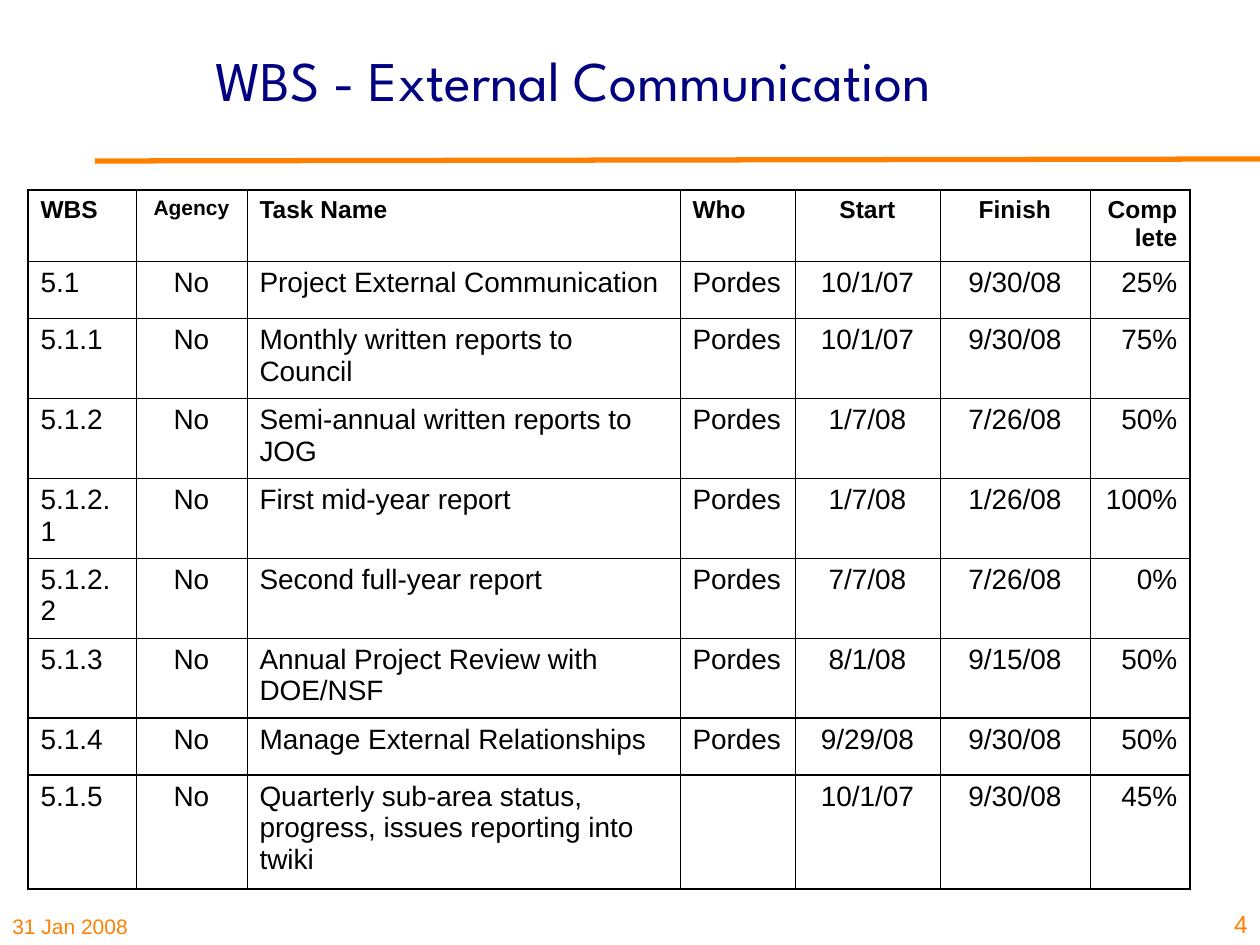
from lxml.etree import SubElement
from pptx import Presentation
from pptx.dml.color import RGBColor
from pptx.enum.shapes import MSO_CONNECTOR
from pptx.enum.text import MSO_ANCHOR, MSO_AUTO_SIZE, PP_ALIGN
from pptx.oxml import parse_xml
from pptx.oxml.ns import nsdecls, qn
from pptx.util import Pt

SCALE = 914400 / 126
COLORS = {"title": "000080", "accent": "FF8000", "ink": "000000"}
THIN, THICK = 0.45, 1.08
LEFT, CENTER, RIGHT = PP_ALIGN.LEFT, PP_ALIGN.CENTER, PP_ALIGN.RIGHT
COLUMN_WIDTHS = [108, 111, 433, 115, 145, 150, 100]
COLUMN_ALIGNMENTS = [LEFT, CENTER, LEFT, LEFT, CENTER, CENTER, RIGHT]
ROW_HEIGHTS = [71, 57, 80, 80, 80, 80, 80, 57, 113]
HEADINGS = ["WBS", "Agency", "Task Name", "Who", "Start", "Finish", "Complete"]
TASKS = [
    ["5.1", "No", "Project External Communication", "Pordes", "10/1/07", "9/30/08", "25%"],
    ["5.1.1", "No", "Monthly written reports to Council", "Pordes", "10/1/07", "9/30/08", "75%"],
    ["5.1.2", "No", "Semi-annual written reports to JOG", "Pordes", "1/7/08", "7/26/08", "50%"],
    ["5.1.2.1", "No", "First mid-year report", "Pordes", "1/7/08", "1/26/08", "100%"],
    ["5.1.2.2", "No", "Second full-year report", "Pordes", "7/7/08", "7/26/08", "0%"],
    ["5.1.3", "No", "Annual Project Review with DOE/NSF", "Pordes", "8/1/08", "9/15/08", "50%"],
    ["5.1.4", "No", "Manage External Relationships", "Pordes", "9/29/08", "9/30/08", "50%"],
    ["5.1.5", "No", "Quarterly sub-area status, progress, issues reporting into twiki", "",
     "10/1/07", "9/30/08", "45%"],
]


def px(length):
    return round(length * SCALE)


def write_text(frame, text, size, color, alignment, font="Arial", bold=False):
    frame.text = text
    paragraph = frame.paragraphs[0]
    paragraph.alignment = alignment
    for span in paragraph.runs:
        span.font.name = font
        span.font.size = Pt(size)
        span.font.bold = bold
        span.font.color.rgb = RGBColor.from_string(COLORS[color])


def add_title(page, text):
    title = page.shapes.title
    title.left, title.top, title.width, title.height = px(95), px(0), px(957), px(158)
    frame = title.text_frame
    frame.word_wrap = True
    frame.auto_size = MSO_AUTO_SIZE.NONE
    frame.vertical_anchor = MSO_ANCHOR.MIDDLE
    write_text(frame, text, 32, "title", CENTER, "League Spartan")


def add_footer(page, text, left, top, width, height, size, alignment):
    box = page.shapes.add_textbox(px(left), px(top), px(width), px(height))
    frame = box.text_frame
    frame.word_wrap = True
    frame.vertical_anchor = MSO_ANCHOR.BOTTOM
    write_text(frame, text, size, "accent", alignment)


def add_rule(page):
    rule = page.shapes.add_connector(MSO_CONNECTOR.STRAIGHT, px(95), px(161), px(1260), px(159))
    rule.line.color.rgb = RGBColor.from_string(COLORS["accent"])
    rule.line.width = Pt(3)
    SubElement(rule._element.spPr, qn("a:effectLst"))


def set_borders(cell, left, right):
    properties = cell._tc.get_or_add_tcPr()
    borders = [("lnL", left), ("lnR", right), ("lnT", THICK), ("lnB", THICK)]
    for position, (side, width) in enumerate(borders):
        border = parse_xml(
            f'<a:{side} {nsdecls("a")} w="{Pt(width)}"><a:solidFill>'
            f'<a:srgbClr val="{COLORS["ink"]}"/></a:solidFill></a:{side}>'
        )
        properties.insert(position, border)


def add_task_table(page):
    rows = [HEADINGS] + TASKS
    frame = page.shapes.add_table(len(rows), len(HEADINGS), px(28), px(190),
                                  px(sum(COLUMN_WIDTHS)), px(sum(ROW_HEIGHTS)))
    table = frame.table
    table.first_row = False
    table.horz_banding = False
    for column, width in zip(table.columns, COLUMN_WIDTHS):
        column.width = px(width)
    last = len(HEADINGS) - 1
    for row_index, texts in enumerate(rows):
        table.rows[row_index].height = px(ROW_HEIGHTS[row_index])
        is_heading = row_index == 0
        for column_index, text in enumerate(texts):
            cell = table.cell(row_index, column_index)
            cell.fill.background()
            set_borders(cell, THICK if column_index == 0 else THIN,
                        THICK if column_index == last else THIN)
            size = 16
            if is_heading:
                size = 12 if text == "Agency" else 14
            write_text(cell.text_frame, text, size, "ink",
                       COLUMN_ALIGNMENTS[column_index], bold=is_heading)


def main():
    deck = Presentation()
    deck.slide_width, deck.slide_height = px(1260), px(945)
    page = deck.slides.add_slide(deck.slide_layouts[5])
    add_footer(page, "31 Jan 2008", 0, 892, 312, 53, 12, LEFT)
    add_rule(page)
    add_title(page, "WBS - External Communication")
    add_task_table(page)
    add_footer(page, "4", 1202, 882, 58, 63, 14, RIGHT)
    deck.save("out.pptx")


if __name__ == "__main__":
    main()
